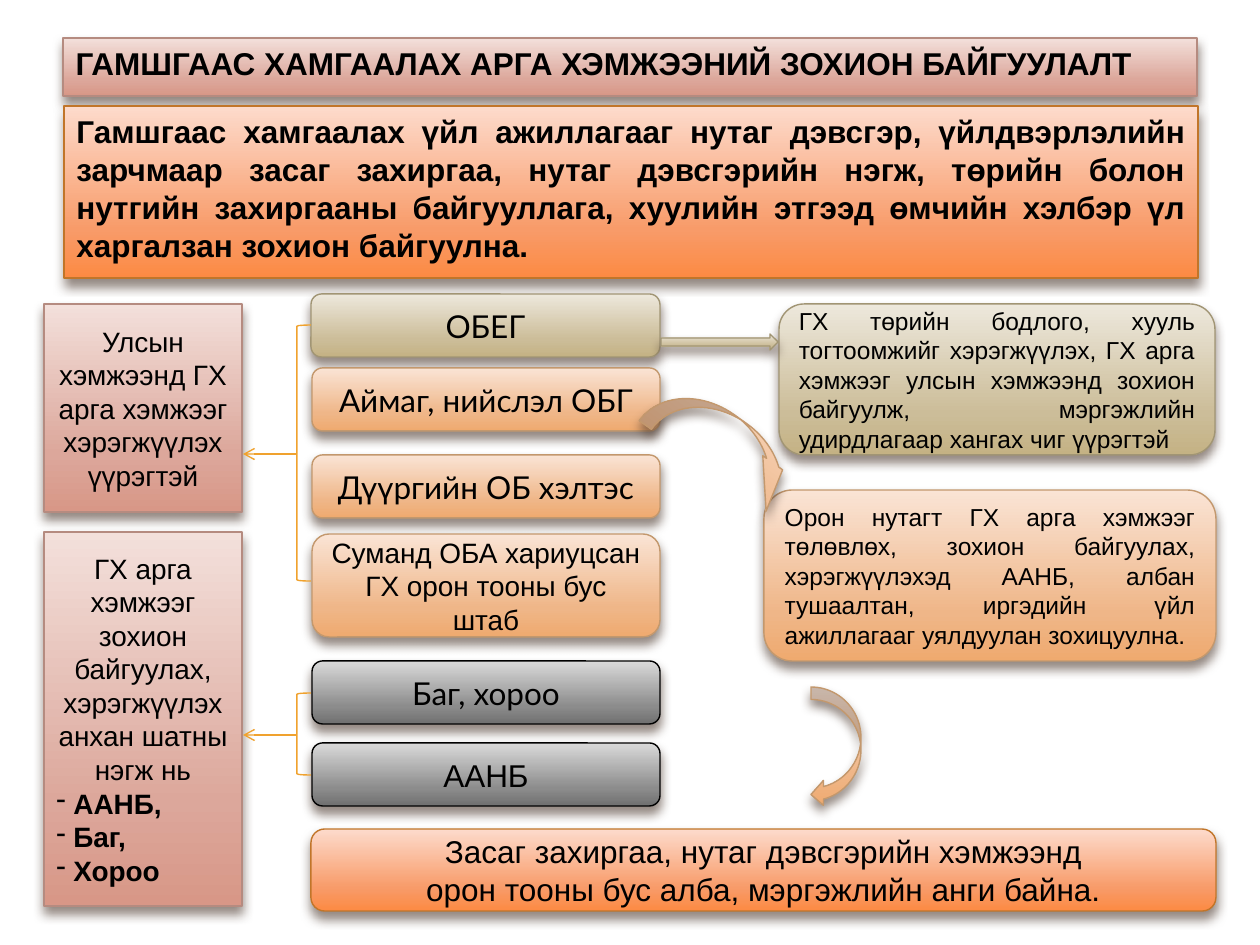
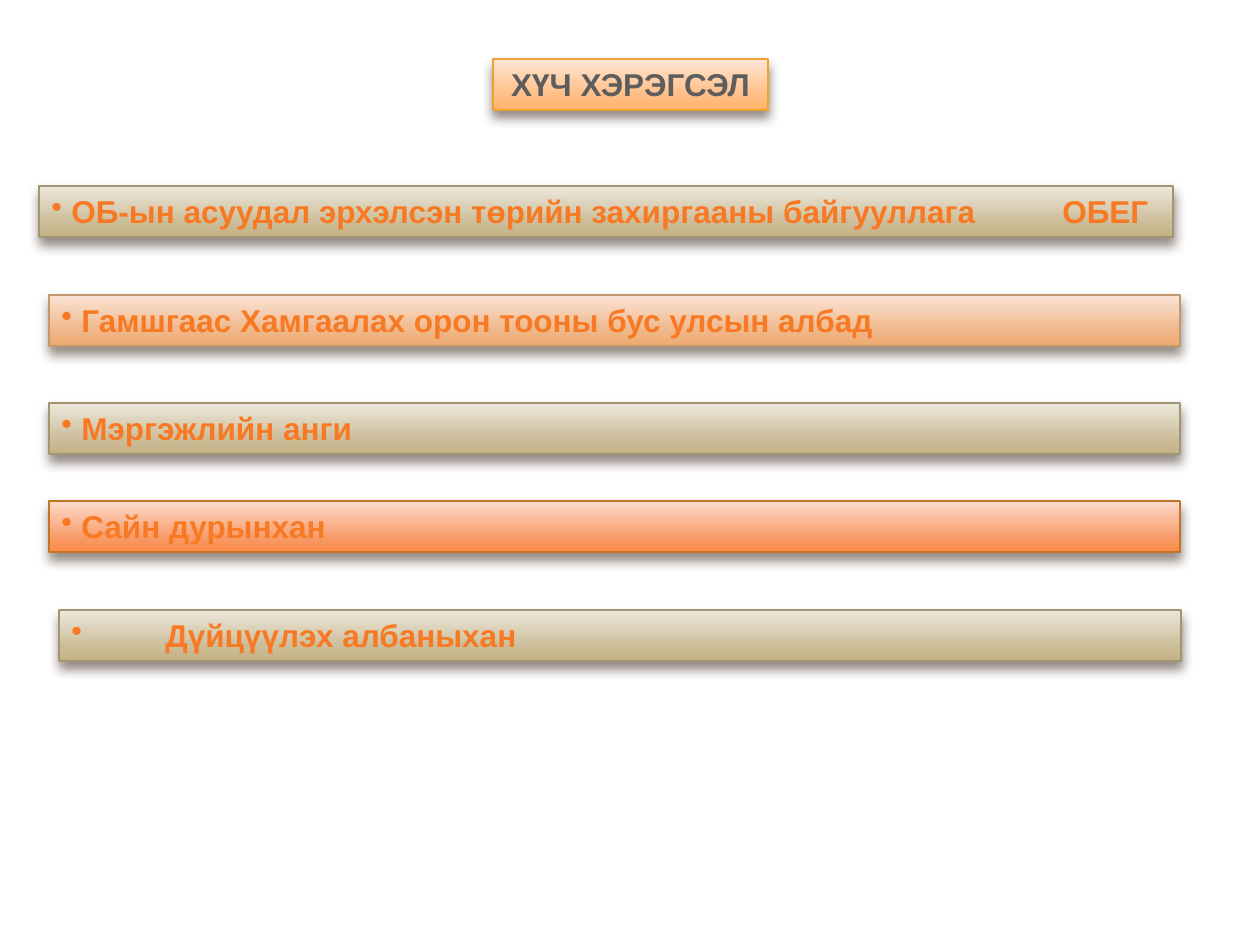
from dataclasses import dataclass
from typing import NamedTuple

from copy import deepcopy
from lxml.etree import SubElement
from pptx import Presentation
from pptx.dml.color import RGBColor
from pptx.enum.shapes import MSO_CONNECTOR as Connector, MSO_SHAPE as Preset
from pptx.enum.text import MSO_ANCHOR as Anchor, MSO_AUTO_SIZE as AutoSize, PP_ALIGN as Align
from pptx.oxml.ns import qn
from pptx.util import Emu, Pt

EMU_PER_PX = 914400 / 126
SLIDE_W, SLIDE_H = 1260, 945
TITLE_ONLY = 5
LINE_PT = 0.79
AMBER, BLACK, GREY, ORANGE, SHADOW = "F0A22E", "000000", "5D5D5D", "F87924", "4E3B30"


class Frame(NamedTuple):
    """Left, top, width and height in pixels."""
    left: int
    top: int
    width: int
    height: int


class Tone(NamedTuple):
    """Three gradient colours from top to bottom, and the outline colour."""
    top: str
    middle: str
    bottom: str
    outline: str


ROSE = Tone("F3E0DB", "DCA79B", "D89787", "B58B80")
FLAME = Tone("FDDBCC", "F89B69", "FC8A43", "C17529")
SAND = Tone("EDE8DC", "CCBD99", "C4B284", "A19574")
PEACH = Tone("FAE4D5", "EFB688", "EFAA6F", "C3986D")
STEEL = Tone("DADADA", "8C8C8C", "707070", BLACK)
HONEY = Tone("FFE7D7", "FFBE84", "FFB468", AMBER)


@dataclass(frozen=True)
class Panel:
    """A gradient panel with plain paragraphs followed by bulleted bold ones."""
    frame: Frame
    tone: Tone
    text: tuple[str, ...] = ()
    items: tuple[str, ...] = ()
    preset: Preset = Preset.ROUNDED_RECTANGLE
    size: int = 18
    font: str = "Arial"
    color: str = BLACK
    bold: bool = False
    align: Align = Align.CENTER
    anchor: Anchor = Anchor.MIDDLE
    bullet: str = "•"
    indent: int = 20
    tab: int = 0


@dataclass(frozen=True)
class Arrow:
    """A gradient block arrow."""
    preset: Preset
    frame: Frame
    tone: Tone
    rotation: float = 0
    adjustments: tuple[float, ...] = ()


def px(length: float) -> Emu:
    """Turn pixels into EMU."""
    return Emu(round(length * EMU_PER_PX))


def rgb(color: str) -> RGBColor:
    """Turn a hex string into a colour."""
    return RGBColor.from_string(color)


def assign(target, values: dict) -> None:
    """Set every attribute named in values."""
    for name, value in values.items():
        setattr(target, name, value)


def outline(shape, color: str) -> None:
    """Give a shape or connector the shared thin line."""
    shape.line.color.rgb = rgb(color)
    shape.line.width = Pt(LINE_PT)


def paint(shape, tone: Tone) -> None:
    """Apply the tone's gradient and outline and the soft shadow below."""
    fill = shape.fill
    fill.gradient()
    fill.gradient_angle = 270
    stops = shape.element.spPr.find(".//" + qn("a:gsLst"))
    stops.append(deepcopy(stops[-1]))
    for stop, position, color in zip(fill.gradient_stops, (0, 0.72, 1), tone):
        stop.position = position
        stop.color.rgb = rgb(color)
    outline(shape, tone.outline)
    shape.shadow.inherit = False
    effects = shape.element.spPr.find(qn("a:effectLst"))
    shadow = SubElement(effects, qn("a:outerShdw"), blurRad=str(Pt(6)), dist=str(Pt(4)),
                        dir="5400000", rotWithShape="0")
    tint = SubElement(shadow, qn("a:srgbClr"), val=SHADOW)
    SubElement(tint, qn("a:alpha"), val="60000")


def add_bullet(paragraph, panel: Panel) -> None:
    """Give a paragraph the panel's bullet, hanging indent and tab stop."""
    properties = paragraph._p.get_or_add_pPr()
    properties.set("marL", str(px(panel.indent)))
    properties.set("indent", str(-px(panel.indent)))
    SubElement(properties, qn("a:buChar"), char=panel.bullet)
    if panel.tab:
        tabs = SubElement(properties, qn("a:tabLst"))
        SubElement(tabs, qn("a:tab"), pos=str(px(panel.tab)), algn="l")


def write(shape, panel: Panel) -> None:
    """Write the panel's paragraphs into a shape."""
    frame = shape.text_frame
    assign(frame, {"word_wrap": True, "auto_size": AutoSize.NONE,
                   "vertical_anchor": panel.anchor})
    if panel.tab:
        frame.margin_right = 0
    for index, words in enumerate(panel.text + panel.items):
        listed = index >= len(panel.text)
        paragraph = frame.add_paragraph() if index else frame.paragraphs[0]
        paragraph.alignment = Align.LEFT if listed else panel.align
        if listed:
            add_bullet(paragraph, panel)
        run = paragraph.add_run()
        run.text = words
        assign(run.font, {"name": panel.font, "size": Pt(panel.size),
                          "bold": panel.bold or listed})
        run.font.color.rgb = rgb(panel.color)


def add_panel(slide, panel: Panel) -> None:
    """Draw a panel as a new shape."""
    shape = slide.shapes.add_shape(panel.preset, *map(px, panel.frame))
    paint(shape, panel.tone)
    write(shape, panel)


def add_titled_slide(deck, title: Panel):
    """Add a slide whose title placeholder is styled as a panel."""
    slide = deck.slides.add_slide(deck.slide_layouts[TITLE_ONLY])
    heading = slide.shapes.title
    assign(heading, dict(zip(("left", "top", "width", "height"), map(px, title.frame))))
    paint(heading, title.tone)
    write(heading, title)
    return slide


def add_arrow(slide, arrow: Arrow) -> None:
    """Draw a block arrow."""
    shape = slide.shapes.add_shape(arrow.preset, *map(px, arrow.frame))
    shape.rotation = arrow.rotation
    for index, value in enumerate(arrow.adjustments):
        shape.adjustments[index] = value
    paint(shape, arrow.tone)


def add_bracket(slide, frame: Frame, tip_x: int, tip_y: int) -> None:
    """Draw a left bracket and the thin arrow that leaves it."""
    bracket = slide.shapes.add_shape(Preset.LEFT_BRACKET, *map(px, frame))
    bracket.fill.background()
    bracket.shadow.inherit = False
    outline(bracket, AMBER)
    link = slide.shapes.add_connector(Connector.STRAIGHT, px(frame.left), px(tip_y),
                                      px(tip_x), px(tip_y))
    outline(link, AMBER)
    SubElement(link.line._get_or_add_ln(), qn("a:tailEnd"), type="arrow")
    SubElement(link.element.spPr, qn("a:effectLst"))


def build_structure(deck) -> None:
    """Slide 1: who organises disaster protection."""
    slide = add_titled_slide(deck, Panel(
        Frame(63, 38, 1134, 58), ROSE, ("ГАМШГААС ХАМГААЛАХ АРГА ХЭМЖЭЭНИЙ ЗОХИОН БАЙГУУЛАЛТ",),
        bold=True, align=Align.LEFT, anchor=Anchor.TOP))
    panels = [
        Panel(Frame(64, 106, 1134, 172), FLAME, (
            "Гамшгаас хамгаалах үйл ажиллагааг нутаг дэвсгэр, үйлдвэрлэлийн зарчмаар засаг "
            "захиргаа, нутаг дэвсгэрийн нэгж, төрийн болон нутгийн захиргааны байгууллага, "
            "хуулийн этгээд өмчийн хэлбэр үл харгалзан зохион байгуулна.",),
            preset=Preset.RECTANGLE, bold=True, align=Align.JUSTIFY, anchor=Anchor.TOP),
        Panel(Frame(44, 304, 198, 208), ROSE,
              ("Улсын хэмжээнд ГХ арга хэмжээг хэрэгжүүлэх үүрэгтэй",),
              preset=Preset.RECTANGLE, size=16),
        Panel(Frame(44, 532, 198, 374), ROSE,
              ("ГХ арга хэмжээг зохион байгуулах, хэрэгжүүлэх анхан шатны нэгж нь",),
              ("ААНБ,", "Баг,", "Хороо"),
              preset=Preset.RECTANGLE, size=16, bullet="-", indent=17),
        Panel(Frame(311, 294, 349, 63), SAND, ("ОБЕГ",), font="Lato"),
        Panel(Frame(312, 368, 348, 63), PEACH, ("Аймаг, нийслэл ОБГ",), font="Lato"),
        Panel(Frame(312, 455, 348, 63), PEACH, ("Дүүргийн ОБ хэлтэс",), font="Lato"),
        Panel(Frame(312, 534, 348, 103), PEACH,
              ("Суманд ОБА хариуцсан ГХ орон тооны бус штаб",), size=16),
        Panel(Frame(312, 661, 348, 63), STEEL, ("Баг, хороо",), font="Lato"),
        Panel(Frame(312, 743, 348, 63), STEEL, ("ААНБ",)),
        Panel(Frame(311, 829, 905, 82), FLAME,
              ("Засаг захиргаа, нутаг дэвсгэрийн хэмжээнд",
               "орон тооны бус алба, мэргэжлийн анги байна.")),
        Panel(Frame(764, 490, 452, 171), PEACH, (
            "Орон нутагт ГХ арга хэмжээг төлөвлөх, зохион байгуулах, хэрэгжүүлэхэд ААНБ, "
            "албан тушаалтан, иргэдийн үйл ажиллагааг уялдуулан зохицуулна.",),
            size=14, align=Align.JUSTIFY),
        Panel(Frame(779, 304, 436, 151), SAND, (
            "ГХ төрийн бодлого, хууль тогтоомжийг хэрэгжүүлэх, ГХ арга хэмжээг улсын хэмжээнд "
            "зохион байгуулж, мэргэжлийн удирдлагаар хангах чиг үүрэгтэй",),
            size=14, align=Align.JUSTIFY),
    ]
    for panel in panels:
        add_panel(slide, panel)
    add_bracket(slide, Frame(297, 325, 14, 256), 243, 454)
    add_bracket(slide, Frame(297, 693, 14, 82), 243, 735)
    for arrow in (
        Arrow(Preset.RIGHT_ARROW, Frame(661, 334, 117, 16), SAND),
        Arrow(Preset.CURVED_DOWN_ARROW, Frame(641, 415, 168, 60), PEACH, 35.5,
              (0.25, 0.405, 0.72)),
        Arrow(Preset.CURVED_LEFT_ARROW, Frame(811, 687, 50, 120), PEACH),
    ):
        add_arrow(slide, arrow)


def build_forces(deck) -> None:
    """Slide 2: the forces and means, one band each."""
    slide = add_titled_slide(deck, Panel(
        Frame(493, 59, 275, 51), HONEY, ("ХҮЧ ХЭРЭГСЭЛ",), color=GREY, bold=True,
        anchor=Anchor.TOP))
    bands = (
        (39, 186, 1134, SAND, "ОБ-ын асуудал эрхэлсэн төрийн захиргааны байгууллага\tОБЕГ", 20, 1011),
        (49, 295, 1131, PEACH, "Гамшгаас Хамгаалах орон тооны бус улсын албад", 20, 0),
        (49, 403, 1131, SAND, "Мэргэжлийн анги", 20, 0),
        (49, 501, 1131, FLAME, "Сайн дурынхан", 20, 0),
        (59, 610, 1122, SAND, "Дүйцүүлэх албаныхан", 94, 0),
    )
    for left, top, width, tone, force, indent, tab in bands:
        add_panel(slide, Panel(
            Frame(left, top, width, 51), tone, items=(force,), preset=Preset.RECTANGLE,
            color=ORANGE, anchor=Anchor.TOP, indent=indent, tab=tab))


def main() -> None:
    """Build both slides and save them."""
    deck = Presentation()
    assign(deck, {"slide_width": px(SLIDE_W), "slide_height": px(SLIDE_H)})
    build_structure(deck)
    build_forces(deck)
    deck.save("out.pptx")


main()
